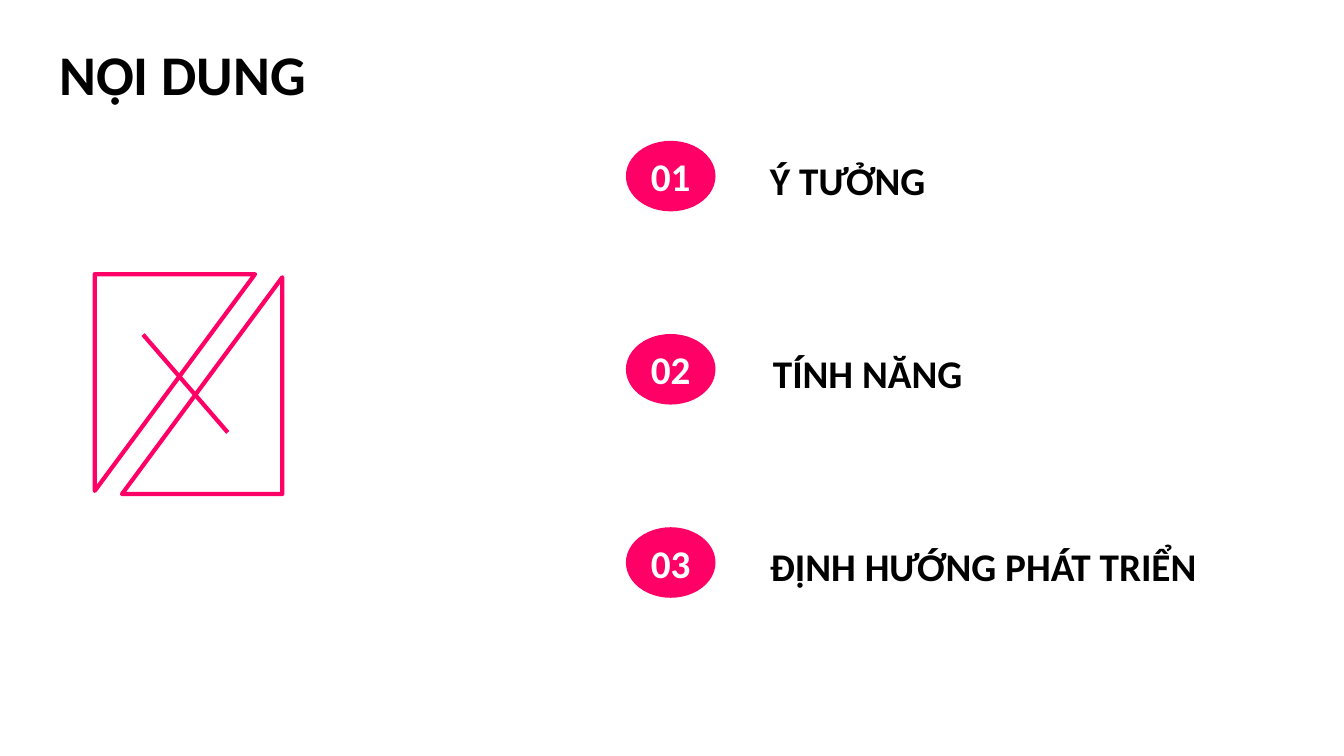
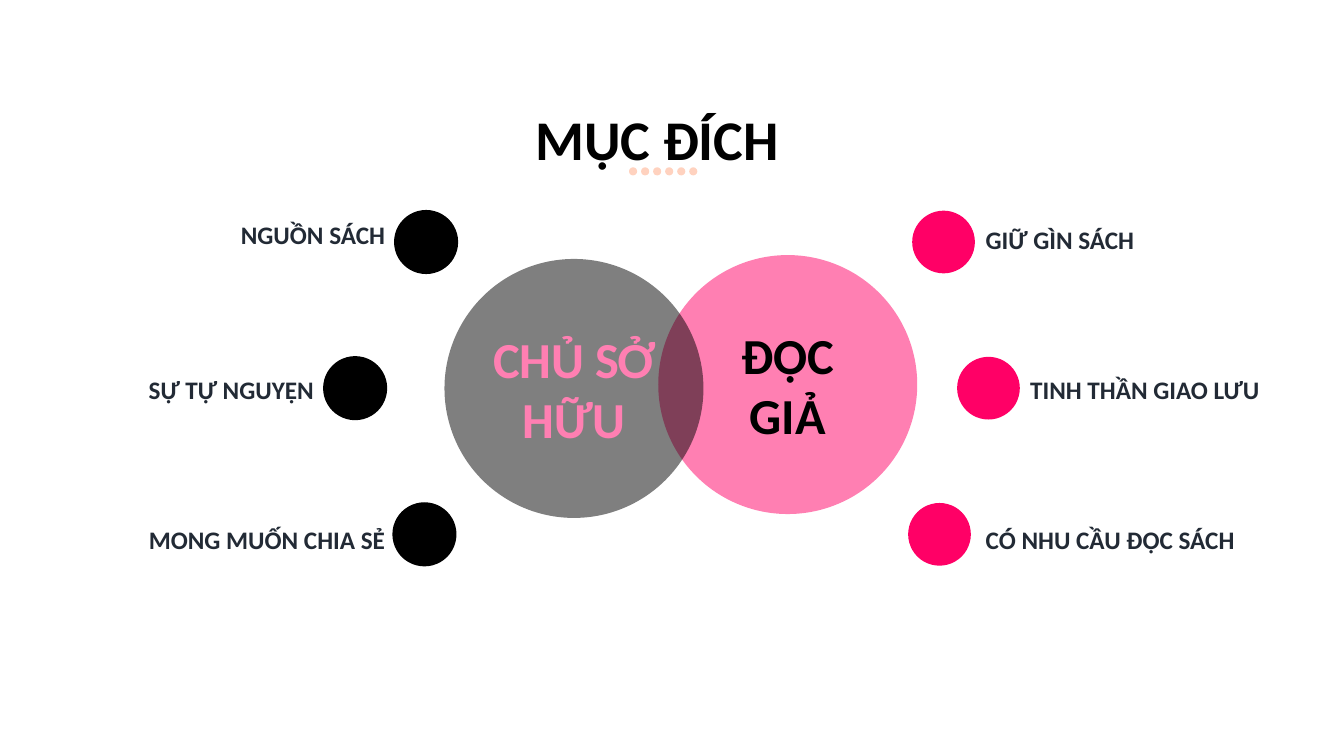
"""Build a contents slide and a purpose slide with two overlapping circles."""
from lxml.etree import SubElement
from pptx import Presentation
from pptx.dml.color import RGBColor
from pptx.enum.shapes import MSO_CONNECTOR, MSO_SHAPE
from pptx.enum.text import MSO_ANCHOR, PP_ALIGN
from pptx.oxml.ns import qn
from pptx.util import Pt

COLORS = {
    "black": "000000",
    "white": "FFFFFF",
    "pink": "FF0066",
    "light_pink": "FF7FB2",
    "peach": "FFD2BF",
    "slate": "222A35",
}
FONT = "Calibri"
LINE_WIDTH = 3
TITLE_SIZE, HEADING_SIZE, CIRCLE_SIZE, LABEL_SIZE = 40, 28, 36, 18


def rgb(color):
    return RGBColor.from_string(COLORS[color])


def write(shape, text, size, color, align):
    frame = shape.text_frame
    frame.word_wrap = True
    frame.text = text
    paragraph = frame.paragraphs[0]
    paragraph.alignment = align
    font = paragraph.runs[0].font
    font.name, font.size, font.bold = FONT, Pt(size), True
    font.color.rgb = rgb(color)


def add_text(slide, box, text, size, color="black", align=PP_ALIGN.LEFT):
    shape = slide.shapes.add_textbox(*map(Pt, box))
    write(shape, text, size, color, align)


def add_title(slide, left, top, text, align=PP_ALIGN.LEFT):
    add_text(slide, (left, top, 230, 55.4), text, TITLE_SIZE, align=align)


def add_ellipse(shapes, box, fill, opacity=None, outline=None):
    shape = shapes.add_shape(MSO_SHAPE.OVAL, *map(Pt, box))
    shape.shadow.inherit = False
    shape.fill.solid()
    shape.fill.fore_color.rgb = rgb(fill)
    if opacity:
        color = shape.fill._xPr.find(qn("a:solidFill"))[0]
        SubElement(color, qn("a:alpha")).set("val", str(opacity * 1000))
    if outline:
        shape.line.color.rgb = rgb(outline)
        shape.line.width = Pt(1)
    else:
        shape.line.fill.background()
    return shape


def add_text_ellipse(slide, box, text, size, color, fill, opacity=None):
    shape = add_ellipse(slide.shapes, box, fill, opacity)
    write(shape, text, size, color, PP_ALIGN.CENTER)
    shape.text_frame.vertical_anchor = MSO_ANCHOR.MIDDLE


def add_triangle(slide, left, top, rotation):
    box = map(Pt, (left, top, 154.8, 114.5))
    shape = slide.shapes.add_shape(MSO_SHAPE.RIGHT_TRIANGLE, *box)
    shape.shadow.inherit = False
    shape.rotation = rotation
    shape.fill.background()
    shape.line.color.rgb = rgb("pink")
    shape.line.width = Pt(LINE_WIDTH)


def add_line(slide, *ends):
    line = slide.shapes.add_connector(MSO_CONNECTOR.STRAIGHT, *map(Pt, ends))
    line.line.color.rgb = rgb("pink")
    line.line.width = Pt(LINE_WIDTH)
    SubElement(line._element.spPr, qn("a:effectLst"))


def add_dots(slide, left, top, count=6, diameter=5.8, step=8.6):
    group = slide.shapes.add_group_shape()
    for index in range(count):
        box = (left + index * step, top, diameter, diameter)
        add_ellipse(group.shapes, box, "peach")


def build_contents(slide):
    add_title(slide, 35.3, 24.5, "NỘI DUNG")
    add_triangle(slide, 47.5, 216, 90)
    add_triangle(slide, 67, 218.2, 270)
    add_line(slide, 102.2, 239, 162.7, 308.9)
    headings = [("Ý TƯỞNG", 542.9), ("TÍNH NĂNG", 545), ("ĐỊNH HƯỚNG PHÁT TRIỂN", 542.9)]
    for index, (heading, left) in enumerate(headings):
        top = 100.6 + index * 138
        add_text_ellipse(slide, (447.1, top, 64, 50.4), f"{index + 1:02}",
                         HEADING_SIZE, "white", "pink")
        add_text(slide, (left, top + 7.2, 358, 41.2), heading, HEADING_SIZE)


def build_purpose(slide):
    add_title(slide, 354.4, 71.3, "MỤC ĐÍCH", PP_ALIGN.CENTER)
    add_dots(slide, 449.3, 119.5)
    add_text_ellipse(slide, (470.2, 182.2, 185, 185), "ĐỌC GIẢ",
                     CIRCLE_SIZE, "black", "pink", 50)
    add_text_ellipse(slide, (317.5, 185, 185, 185), "CHỦ SỞ HỮU",
                     CIRCLE_SIZE, "light_pink", "black", 50)

    diameter, label_width = 44.8, 210
    owner_points = [
        ("NGUỒN SÁCH", 282, 282.2, 153.4),
        ("SỰ TỰ NGUYỆN", 231.3, 231.3, 263.5),
        ("MONG MUỐN CHIA SẺ", 280.8, 282.2, 370.8),
    ]
    reader_points = [
        ("GIỮ GÌN SÁCH", 651.6, 697, 156.5),
        ("TINH THẦN GIAO LƯU", 683.7, 728.8, 263.5),
        ("CÓ NHU CẦU ĐỌC SÁCH", 648.7, 697, 370.8),
    ]
    sides = [
        (owner_points, "black", "black", PP_ALIGN.RIGHT, label_width),
        (reader_points, "pink", None, PP_ALIGN.LEFT, 0),
    ]
    for points, fill, outline, align, shift in sides:
        for index, (label, circle_left, label_edge, label_top) in enumerate(points):
            circle_top = 150.5 + index * 104.4
            add_ellipse(slide.shapes, (circle_left, circle_top, diameter, diameter),
                        fill, outline=outline)
            add_text(slide, (label_edge - shift, label_top, label_width, 28.8),
                     label, LABEL_SIZE, "slate", align)


def main():
    presentation = Presentation()
    presentation.slide_width, presentation.slide_height = Pt(960), Pt(540)
    blank = presentation.slide_layouts[6]
    for build in (build_contents, build_purpose):
        build(presentation.slides.add_slide(blank))
    presentation.save("out.pptx")


if __name__ == "__main__":
    main()
